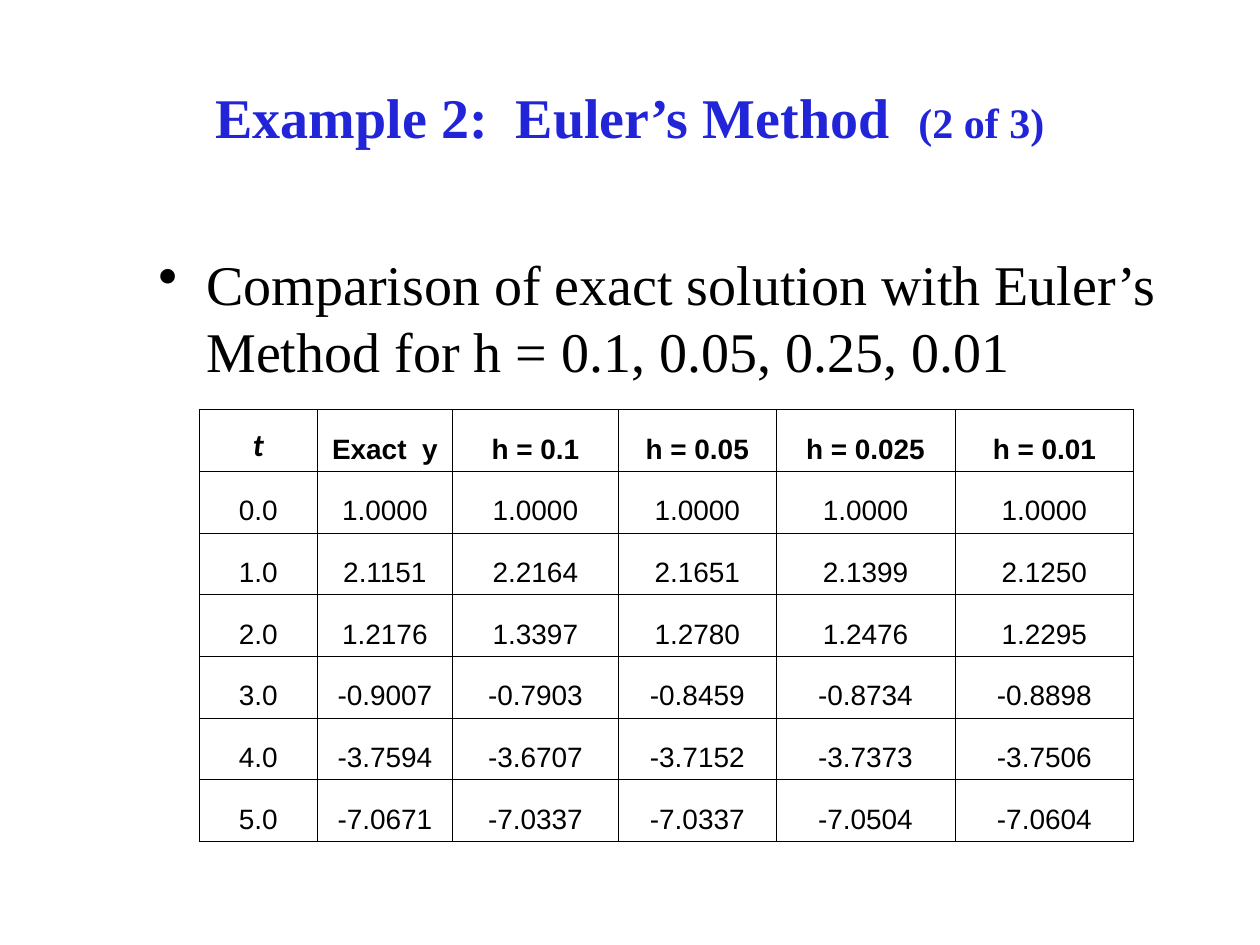
from lxml.etree import SubElement
from pptx import Presentation
from pptx.dml.color import RGBColor
from pptx.enum.text import MSO_ANCHOR as ANCHOR, PP_ALIGN as ALIGN
from pptx.oxml.ns import qn
from pptx.util import Inches, Pt

# Content
TITLE = [("Example 2:  Euler’s Method  ", 32), ("(2 of 3)", 24)]
BULLET = "Comparison of exact solution with Euler’s Method for h = 0.1, 0.05, 0.25, 0.01"
HEADER = ["t", "Exact  y", "h = 0.1", "h = 0.05", "h = 0.025", "h = 0.01"]
RESULTS = [
    ["0.0", "1.0000", "1.0000", "1.0000", "1.0000", "1.0000"],
    ["1.0", "2.1151", "2.2164", "2.1651", "2.1399", "2.1250"],
    ["2.0", "1.2176", "1.3397", "1.2780", "1.2476", "1.2295"],
    ["3.0", "-0.9007", "-0.7903", "-0.8459", "-0.8734", "-0.8898"],
    ["4.0", "-3.7594", "-3.6707", "-3.7152", "-3.7373", "-3.7506"],
    ["5.0", "-7.0671", "-7.0337", "-7.0337", "-7.0504", "-7.0604"],
]

# Layout and formats
TITLE_BOX = (0.5, 0.3, 9, 1.25)
BULLET_BOX = (1.16, 1.93, 8.5, 4.9)
TABLE_LEFT, TABLE_TOP = 1.58, 3.25
COL_WIDTHS = [0.94, 1.07, 1.32, 1.25, 1.42, 1.42]
ROW_HEIGHT = 0.49
SERIF, BLACK, BLUE = "Times New Roman", "000000", "2125D7"
BODY = {"name": "Arial", "size": Pt(16), "bold": False, "italic": False}
HEAD = {**BODY, "bold": True}
SYMBOL = {"name": "Calibri", "size": Pt(18), "bold": True, "italic": True}
CELL = {"vertical_anchor": ANCHOR.BOTTOM,
        "margin_left": Inches(0.08), "margin_right": Inches(0.08),
        "margin_top": Inches(0.05), "margin_bottom": Inches(0.05)}


def rgb(color):
    return RGBColor.from_string(color)


def set_attrs(obj, values):
    for name, value in values.items():
        setattr(obj, name, value)


def add_run(p, text, color, font):
    r = p.add_run()
    r.text = text
    r.font.color.rgb = rgb(color)
    set_attrs(r.font, font)


def add_text_box(s, box, anchor):
    tf = s.shapes.add_textbox(*map(Inches, box)).text_frame
    tf.word_wrap = True
    tf.vertical_anchor = anchor
    return tf.paragraphs[0]


def add_bullet(p, char, color, indent):
    pPr = p._p.get_or_add_pPr()
    pPr.set("marL", str(Inches(indent)))
    pPr.set("indent", str(-Inches(indent)))
    SubElement(SubElement(pPr, qn("a:buClr")), qn("a:srgbClr"), val=color)
    SubElement(pPr, qn("a:buChar"), char=char)


def add_borders(cell, color, width):
    tcPr = cell._tc.get_or_add_tcPr()
    for i, side in enumerate(("lnL", "lnR", "lnT", "lnB")):
        ln = tcPr.makeelement(qn(f"a:{side}"), {"w": str(Pt(width))})
        SubElement(SubElement(ln, qn("a:solidFill")), qn("a:srgbClr"), val=color)
        tcPr.insert(i, ln)


def add_results_table(s):
    rows = [HEADER] + RESULTS
    size = (sum(COL_WIDTHS), ROW_HEIGHT * len(rows))
    place = map(Inches, (TABLE_LEFT, TABLE_TOP, *size))
    table = s.shapes.add_table(len(rows), len(HEADER), *place).table
    table.first_row = table.horz_banding = False
    for col, width in zip(table.columns, COL_WIDTHS):
        col.width = Inches(width)
    for i, values in enumerate(rows):
        table.rows[i].height = Inches(ROW_HEIGHT)
        for j, text in enumerate(values):
            cell = table.cell(i, j)
            set_attrs(cell, CELL)
            cell.fill.background()
            add_borders(cell, BLACK, 0.45)
            p = cell.text_frame.paragraphs[0]
            set_attrs(p, {"alignment": ALIGN.CENTER, "line_spacing": 1.15})
            font = BODY if i else HEAD if j else SYMBOL
            add_run(p, text, BLACK, font)


def main():
    prs = Presentation()
    prs.slide_width, prs.slide_height = Inches(10), Inches(7.5)
    s = prs.slides.add_slide(prs.slide_layouts[6])

    # Title
    p = add_text_box(s, TITLE_BOX, ANCHOR.MIDDLE)
    p.alignment = ALIGN.CENTER
    for text, size in TITLE:
        add_run(p, text, BLUE, {"name": SERIF, "size": Pt(size), "bold": True})

    # Bullet
    p = add_text_box(s, BULLET_BOX, ANCHOR.TOP)
    p.space_before = Pt(8)
    add_bullet(p, "•", BLACK, 0.38)
    add_run(p, BULLET, BLACK, {"name": SERIF, "size": Pt(32)})

    # Table of results
    add_results_table(s)
    prs.save("out.pptx")


if __name__ == "__main__":
    main()
